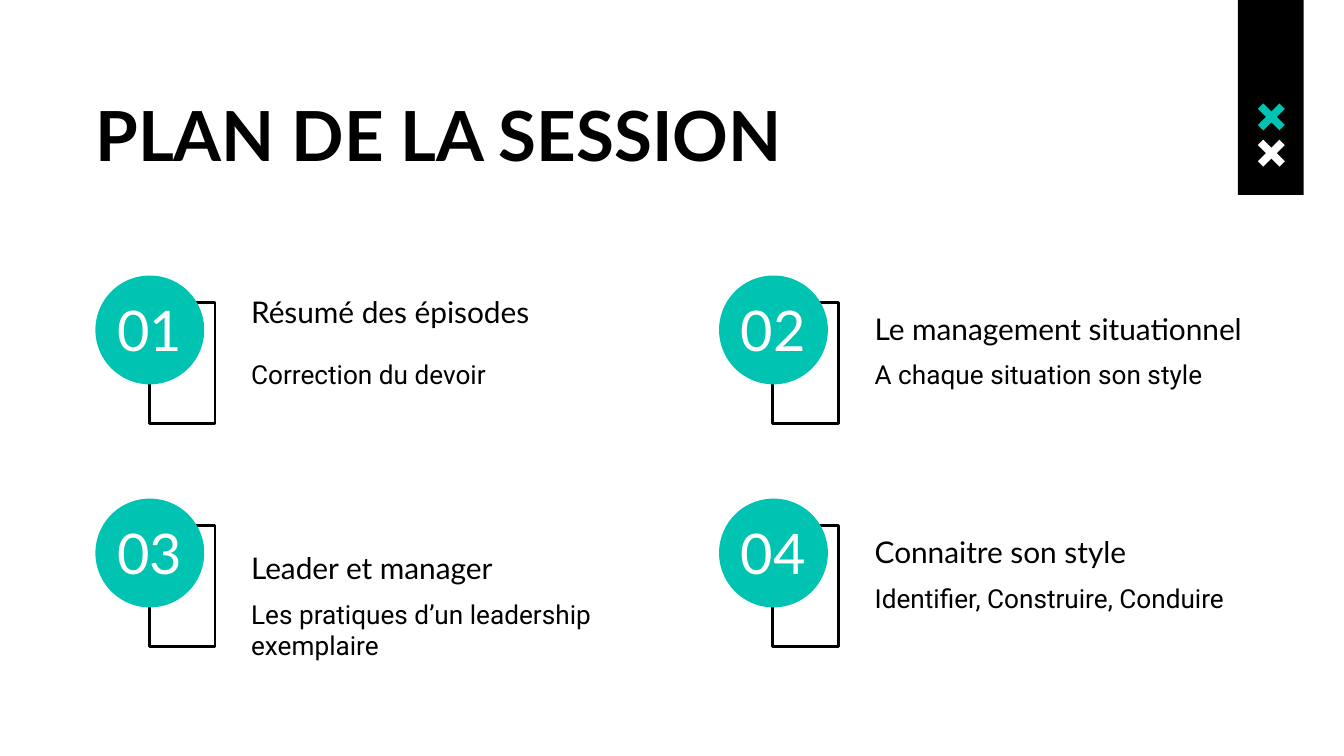
from pptx import Presentation
from pptx import util as u
from pptx.dml.color import RGBColor
from pptx.enum import shapes, text

PX = u.Inches(1) // 100
BLACK = RGBColor(0x00, 0x00, 0x00)
WHITE = RGBColor(0xFF, 0xFF, 0xFF)
TEAL = RGBColor(0x00, 0xC3, 0xB1)

COLUMN_STEP = 464
ROW_STEP = 166
CROSS = [(4, 0), (0, 4), (6, 10), (0, 16), (4, 20), (10, 14),
         (16, 20), (20, 16), (14, 10), (20, 4), (16, 0), (10, 6)]

ITEMS = [
    ("01", "Résumé des épisodes", "Correction du devoir", -13, 0),
    ("02", "Le management situationnel", "A chaque situation son style", 0, 0),
    ("03", "Leader et manager", "Les pratiques d’un leadership exemplaire", 12, 12),
    ("04", "Connaitre son style", "Identifier, Construire, Conduire", 0, 0),
]


def px(*lengths):
    return [u.Emu(length * PX) for length in lengths]


def write(shape, words, size=16, font="Lato", color=BLACK, bold=False,
          align=text.PP_ALIGN.LEFT, anchor=text.MSO_ANCHOR.TOP):
    frame = shape.text_frame
    frame.word_wrap = True
    frame.auto_size = text.MSO_AUTO_SIZE.NONE
    frame.vertical_anchor = anchor
    frame.margin_left, frame.margin_right = px(10, 10)
    frame.margin_top, frame.margin_bottom = px(10, 10)
    para = frame.paragraphs[0]
    para.alignment = align
    span = para.add_run()
    span.text = words
    span.font.name = font
    span.font.size = u.Pt(size)
    span.font.bold = bold
    span.font.color.rgb = color


def paint(shape, fill=None, line=None):
    shape.shadow.inherit = False
    if fill is None:
        shape.fill.background()
    else:
        shape.fill.solid()
        shape.fill.fore_color.rgb = fill
    if line is None:
        shape.line.fill.background()
    else:
        shape.line.color.rgb = line
        shape.line.width = u.Pt(1.5)


def add_block(page, kind, left, top, width, height, **colors):
    block = page.shapes.add_shape(kind, *px(left, top, width, height))
    paint(block, **colors)


def add_cross(page, left, top, color):
    points = [(left + x, top + y) for x, y in CROSS]
    builder = page.shapes.build_freeform(*points[0], scale=PX)
    builder.add_line_segments(points[1:], close=True)
    paint(builder.convert_to_shape(), fill=color)


def add_label(page, words, left, top, width, height, **style):
    box = page.shapes.add_textbox(*px(left, top, width, height))
    write(box, words, **style)


def add_title(page, words):
    title = page.shapes.title
    title.left, title.top, title.width, title.height = px(61, 59, 886, 79)
    write(title, words, size=37, bold=True)


def add_item(page, x, y, number, heading, detail, heading_shift, detail_shift):
    middle = text.MSO_ANCHOR.MIDDLE
    add_block(page, shapes.MSO_SHAPE.RECTANGLE, x + 40, y + 20, 49, 90, line=BLACK)
    add_block(page, shapes.MSO_SHAPE.OVAL, x, y, 81, 81, fill=TEAL)
    add_label(page, number, x, y + 10, 81, 60, size=30, color=WHITE,
              align=text.PP_ALIGN.CENTER, anchor=middle)
    add_label(page, heading, x + 106, y + 20 + heading_shift, 342, 39, anchor=middle)
    add_label(page, detail, x + 106, y + 52 + detail_shift, 291, 70,
              size=14, font="Roboto")


def main():
    deck = Presentation()
    deck.slide_width = u.Inches(10)
    deck.slide_height = deck.slide_width * 9 // 16
    page = deck.slides.add_slide(deck.slide_layouts[5])
    add_block(page, shapes.MSO_SHAPE.RECTANGLE, 921, 0, 49, 145, fill=BLACK)
    for row, color in enumerate((TEAL, WHITE)):
        add_cross(page, 936, 77 + row * 27, color)
    add_title(page, "PLAN DE LA SESSION")
    for index, item in enumerate(ITEMS):
        row, column = divmod(index, 2)
        add_item(page, 71 + column * COLUMN_STEP, 205 + row * ROW_STEP, *item)
    deck.save("out.pptx")


if __name__ == "__main__":
    main()
